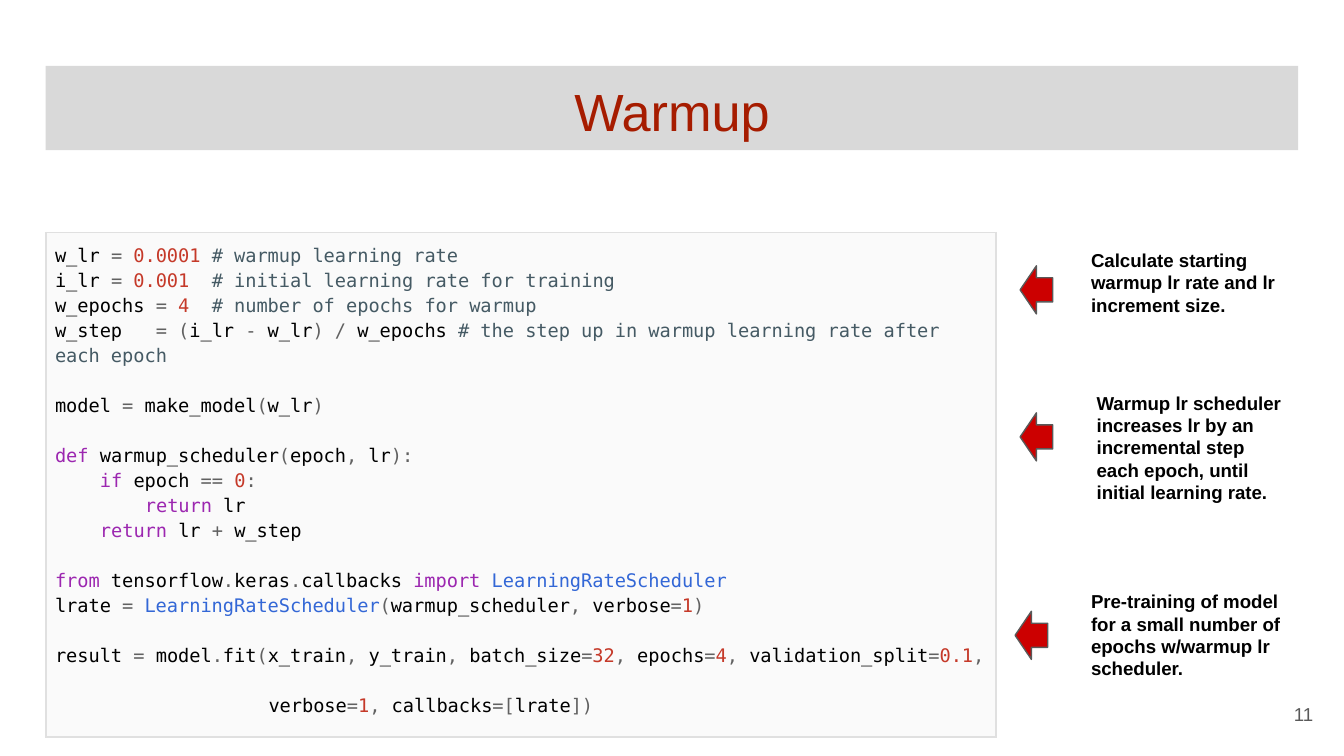
import pptx
import pptx.util
import pptx.dml.color
import pptx.enum.shapes
import pptx.enum.text
import pptx.oxml
import pptx.oxml.ns

Pt = pptx.util.Pt
RGB = pptx.dml.color.RGBColor.from_string
ALIGN = pptx.enum.text.PP_ALIGN
ANCHOR = pptx.enum.text.MSO_ANCHOR
SHAPE = pptx.enum.shapes.MSO_SHAPE

HUES = {"band": "D9D9D9", "title": "A61C00", "page": "595959", "note": "000000",
        "arrow": "CC0000", "edge": "595959", "panel": "FAFAFA", "rule": "E0E0E0"}
# Code colours: name, mark, value, remark, keyword, class
CODE = {"n": "000000", "m": "616161", "v": "C53929",
        "r": "455A64", "k": "9C27B0", "c": "3367D6"}

deck = pptx.Presentation()
deck.slide_width, deck.slide_height = Pt(720), Pt(405)
slide = deck.slides.add_slide(deck.slide_layouts[6])


def add_run(para, text, hue, **form):
    run = para.add_run()
    run.text = text
    run.font.color.rgb = RGB(hue)
    for name, value in form.items():
        setattr(run.font, name, value)


def add_text(box, text, hue, align, anchor, **form):
    frame = box.text_frame
    frame.word_wrap = True
    frame.vertical_anchor = anchor
    for side in ("left", "right", "top", "bottom"):
        setattr(frame, "margin_" + side, Pt(7.2))
    para = frame.paragraphs[0]
    para.alignment = align
    add_run(para, text, HUES[hue], name="Arial", **form)


# Title band
band = slide.shapes.add_shape(SHAPE.RECTANGLE, Pt(24.5), Pt(35.3), Pt(671), Pt(45.2))
band.shadow.inherit = False
band.fill.solid()
band.fill.fore_color.rgb = RGB(HUES["band"])
band.line.fill.background()
add_text(band, "Warmup", "title", ALIGN.CENTER, ANCHOR.TOP, size=Pt(28))

# Page number
page = slide.shapes.add_textbox(Pt(667.4), Pt(367.2), Pt(43.2), Pt(31))
add_text(page, "11", "page", ALIGN.RIGHT, ANCHOR.MIDDLE, size=Pt(10))

# Code panel: a one-cell table
table = slide.shapes.add_table(1, 1, Pt(24.5), Pt(124.6), Pt(509), Pt(264)).table
table.first_row = table.horz_banding = False
cell = table.cell(0, 0)
cell.fill.solid()
cell.fill.fore_color.rgb = RGB(HUES["panel"])
for side in ("left", "right", "top", "bottom"):
    setattr(cell, "margin_" + side, Pt(5))
props = cell._tc.get_or_add_tcPr()
for spot, side in enumerate("LRTB"):
    props.insert(spot, pptx.oxml.parse_xml(
        f'<a:ln{side} {pptx.oxml.ns.nsdecls("a")} w="12700"><a:solidFill>'
        f'<a:srgbClr val="{HUES["rule"]}"/></a:solidFill></a:ln{side}>'))

# Each line: gap above, indent in characters, pieces led by a colour key
LINES = [
    (0, 0, "nw_lr |m= |v0.0001 |r# warmup learning rate"),
    (0, 0, "ni_lr |m= |v0.001  |r# initial learning rate for training"),
    (0, 0, "nw_epochs |m= |v4  |r# number of epochs for warmup"),
    (0, 0, "nw_step   |m= (|ni_lr |m-|n w_lr|m) /|n w_epochs "
           "|r# the step up in warmup learning rate after each epoch"),
    (1, 0, "nmodel |m=|n make_model|m(|nw_lr|m)"),
    (1, 0, "kdef|n warmup_scheduler|m(|nepoch|m,|n lr|m):"),
    (0, 4, "kif|n epoch |m== |v0|m:"),
    (0, 8, "kreturn|n lr"),
    (0, 4, "kreturn|n lr |m+|n w_step"),
    (1, 0, "kfrom|n tensorflow|m.|nkeras|m.|ncallbacks |kimport |cLearningRateScheduler"),
    (0, 0, "nlrate |m= |cLearningRateScheduler|m(|nwarmup_scheduler|m,|n verbose|m=|v1|m)"),
    (1, 0, "nresult |m=|n model|m.|nfit|m(|nx_train|m,|n y_train|m,|n batch_size|m=|v32|m,"
           "|n epochs|m=|v4|m,|n validation_split|m=|v0.1|m,"),
    (1, 19, "nverbose|m=|v1|m,|n callbacks|m=[|nlrate|m])"),
]
for row, (gap, dent, line) in enumerate(LINES):
    frame = cell.text_frame
    para = frame.add_paragraph() if row else frame.paragraphs[0]
    para.line_spacing = 1.15
    para.space_before = Pt(13.4 * gap)
    para._p.get_or_add_pPr().set("marL", str(Pt(6.02 * dent)))
    for piece in line.split("|"):
        add_run(para, piece[1:], CODE[piece[0]], name="DejaVu Sans Mono", size=Pt(10))

# Arrows and notes: arrow left and top, note left, top and height
NOTES = [
    (546.5, 142.4, 577.4, 126, 58.3,
     "Calculate starting warmup lr rate and lr increment size."),
    (546.5, 221.2, 580.4, 202.5, 74.2,
     "Warmup lr scheduler increases lr by an incremental step each epoch, "
     "until initial learning rate."),
    (543.8, 327.5, 577.4, 308.9, 74.2,
     "Pre-training of model for a small number of epochs w/warmup lr scheduler."),
]
for tip, top, left, head, tall, text in NOTES:
    arrow = slide.shapes.add_shape(SHAPE.LEFT_ARROW, Pt(tip), Pt(top), Pt(17.5), Pt(25.8))
    arrow.shadow.inherit = False
    arrow.fill.solid()
    arrow.fill.fore_color.rgb = RGB(HUES["arrow"])
    arrow.line.color.rgb = RGB(HUES["edge"])
    arrow.line.width = Pt(0.75)
    note = slide.shapes.add_textbox(Pt(left), Pt(head), Pt(118), Pt(tall))
    add_text(note, text, "note", ALIGN.LEFT, ANCHOR.TOP, size=Pt(10), bold=True)

deck.save("out.pptx")
